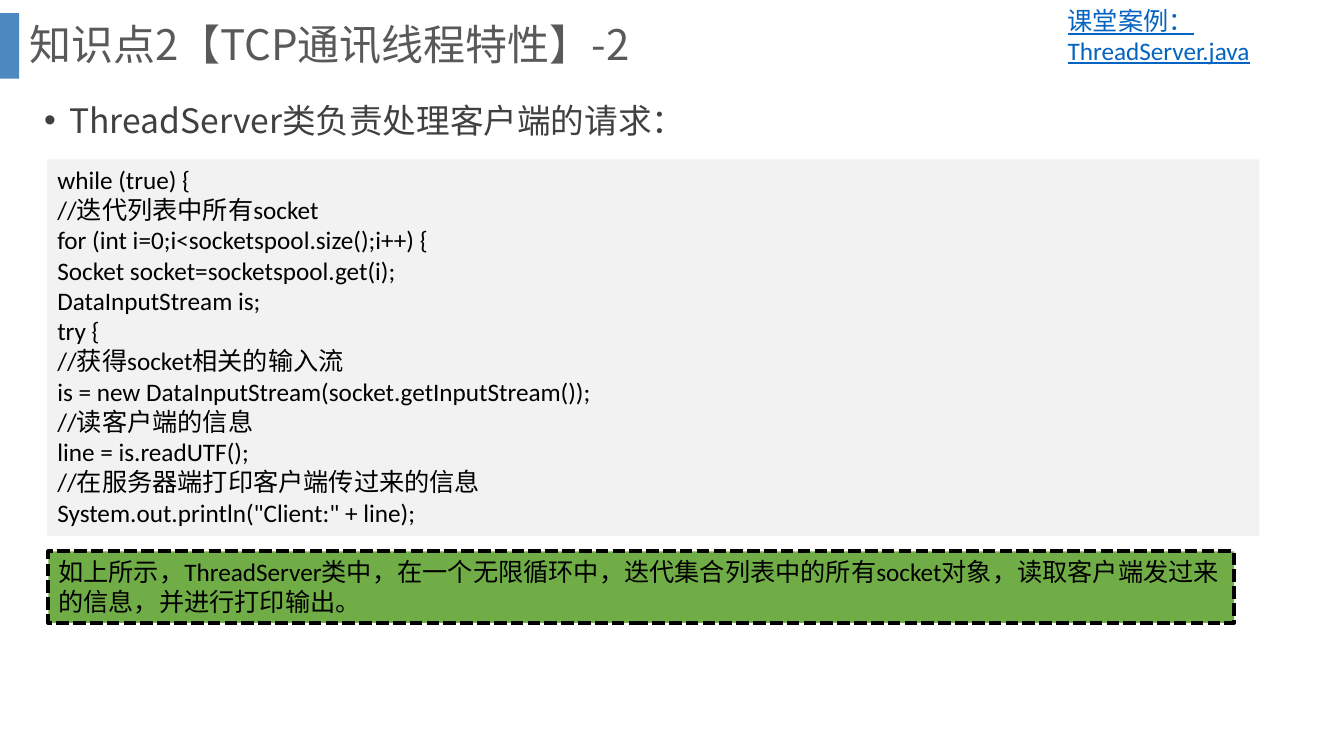
import dataclasses
import typing

import lxml.etree
import pptx
import pptx.dml.color
import pptx.enum.dml
import pptx.enum.shapes
import pptx.enum.text
import pptx.oxml.ns
import pptx.util

WIDE = pptx.util.Inches(13.33)
HIGH = pptx.util.Inches(7.5)
SANS = "Noto Sans CJK SC"
LATIN = "Calibri"

CODE = """while (true) {
//迭代列表中所有socket
for (int i=0;i<socketspool.size();i++) {
Socket socket=socketspool.get(i);
DataInputStream is;
try {
//获得socket相关的输入流
is = new DataInputStream(socket.getInputStream());
//读客户端的信息
line = is.readUTF();
//在服务器端打印客户端传过来的信息
System.out.println("Client:" + line);"""
NOTE = ("如上所示，ThreadServer类中，在一个无限循环中，迭代集合列表中的所有socket对象，"
        "读取客户端发过来的信息，并进行打印输出。")


@dataclasses.dataclass
class Box:
    """A block of the slide; area is left, top, width, height in percent."""
    area: tuple[float, float, float, float]
    text: str = ""
    size: float = 18
    font: str = LATIN
    ink: str = "000000"
    fill: str = ""
    alpha: int = 100
    dash: bool = False
    under: bool = False
    middle: bool = False
    bullet: bool = False
    space: float = 1
    before: float = 0


BOXES = [
    Box((0, 1.73, 1.43, 8.67), fill="2E75B6", alpha=85),
    Box((2.55, 9.87, 90.4, 37.47), "ThreadServer类负责处理客户端的请求：", 24, SANS,
        "404040", bullet=True, space=1.5, before=10),
    Box((1.43, 0, 94.97, 12.4), "知识点2【TCP通讯线程特性】-2", 30, SANS,
        "595959", middle=True, space=0.9),
    Box((3.53, 21.07, 90.17, 49.87), CODE, fill="F2F2F2"),
    Box((3.6, 72.93, 88.22, 9.47), NOTE, fill="70AD47", dash=True),
    Box((78.7, 0, 17.1, 9.47), "课堂案例：ThreadServer.java", ink="0563C1", under=True),
]


def color(code: str) -> pptx.dml.color.RGBColor:
    return pptx.dml.color.RGBColor.from_string(code)


def add(node: typing.Any, tag: str, **attrs: str) -> None:
    """Append a drawing element to an XML node."""
    lxml.etree.SubElement(node, pptx.oxml.ns.qn(tag), attrs)


def paint(shape: typing.Any, box: Box) -> None:
    """Give a filled shape its fill and outline."""
    shape.shadow.inherit = False
    shape.fill.solid()
    shape.fill.fore_color.rgb = color(box.fill)
    if box.alpha < 100:
        tint = shape._element.spPr.find(".//" + pptx.oxml.ns.qn("a:srgbClr"))
        add(tint, "a:alpha", val=str(box.alpha * 1000))
    if box.dash:
        shape.line.color.rgb = color("000000")
        shape.line.width = pptx.util.Pt(3)
        shape.line.dash_style = pptx.enum.dml.MSO_LINE.SQUARE_DOT
    else:
        shape.line.fill.background()


def write(frame: typing.Any, box: Box) -> None:
    """Set the text of a frame, then format its paragraphs and runs."""
    anchor = pptx.enum.text.MSO_ANCHOR
    frame.word_wrap = True
    frame.vertical_anchor = anchor.MIDDLE if box.middle else anchor.TOP
    frame.text = box.text
    for para in frame.paragraphs:
        para.alignment = pptx.enum.text.PP_ALIGN.LEFT
        para.line_spacing = box.space
        para.space_before = pptx.util.Pt(box.before)
        if box.bullet:
            props = para._p.get_or_add_pPr()
            dent = pptx.util.Inches(0.25)
            props.set("marL", str(dent))
            props.set("indent", str(-dent))
            add(props, "a:buFont", typeface="Arial")
            add(props, "a:buChar", char="•")
        for run in para.runs:
            run.font.size = pptx.util.Pt(box.size)
            run.font.name = box.font
            run.font.color.rgb = color(box.ink)
            if box.under:
                run.font.underline = True
            add(run._r.get_or_add_rPr(), "a:ea", typeface=SANS)


def draw(slide: typing.Any, box: Box) -> None:
    left, top, width, height = box.area
    place = [round(WIDE * left / 100), round(HIGH * top / 100),
             round(WIDE * width / 100), round(HIGH * height / 100)]
    if box.fill:
        kind = pptx.enum.shapes.MSO_SHAPE.RECTANGLE
        shape = slide.shapes.add_shape(kind, *place)
        paint(shape, box)
    else:
        shape = slide.shapes.add_textbox(*place)
    if box.text:
        write(shape.text_frame, box)


def main() -> None:
    deck = pptx.Presentation()
    deck.slide_width = WIDE
    deck.slide_height = HIGH
    slide = deck.slides.add_slide(deck.slide_layouts[6])
    for box in BOXES:
        draw(slide, box)
    deck.save("out.pptx")


if __name__ == "__main__":
    main()
